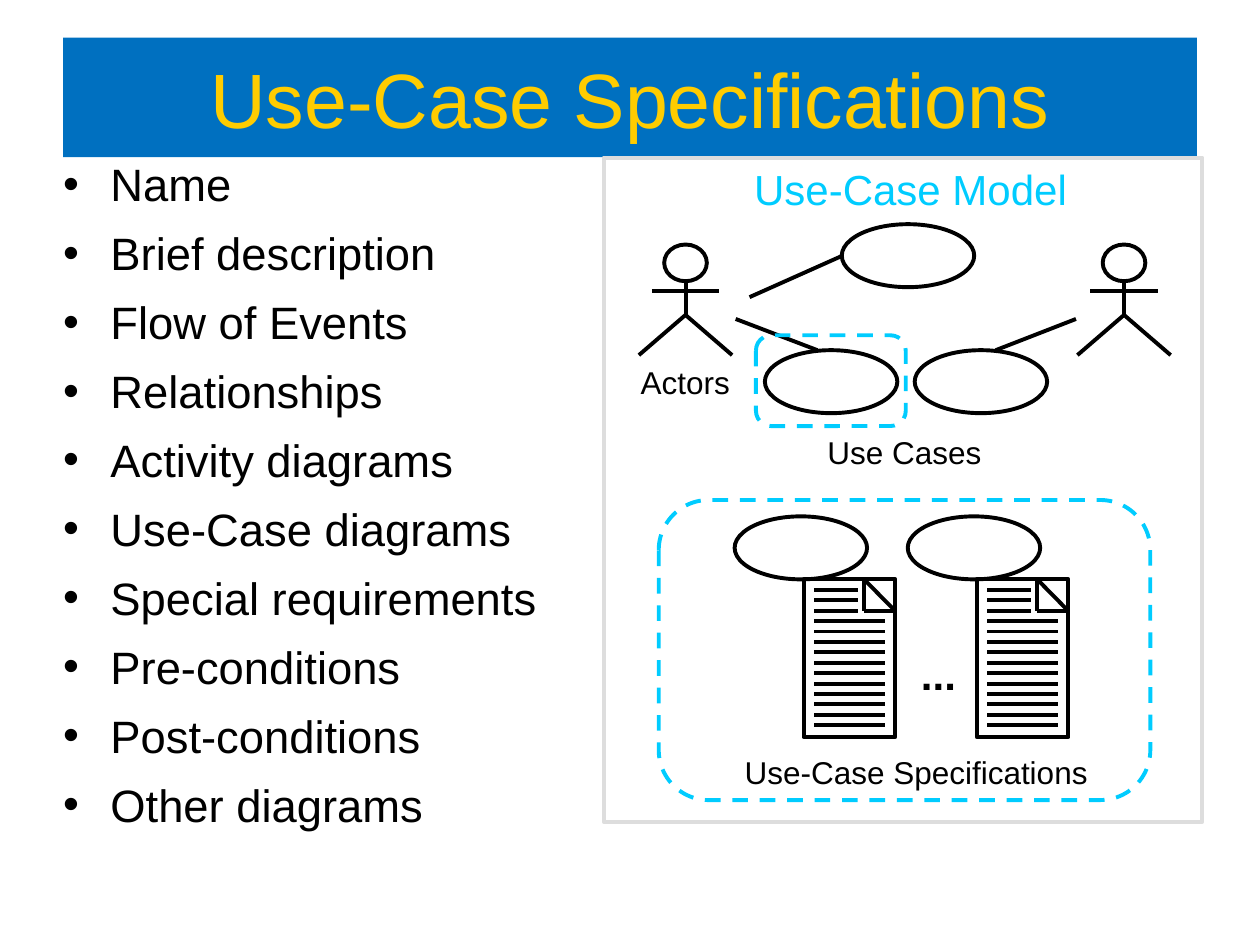
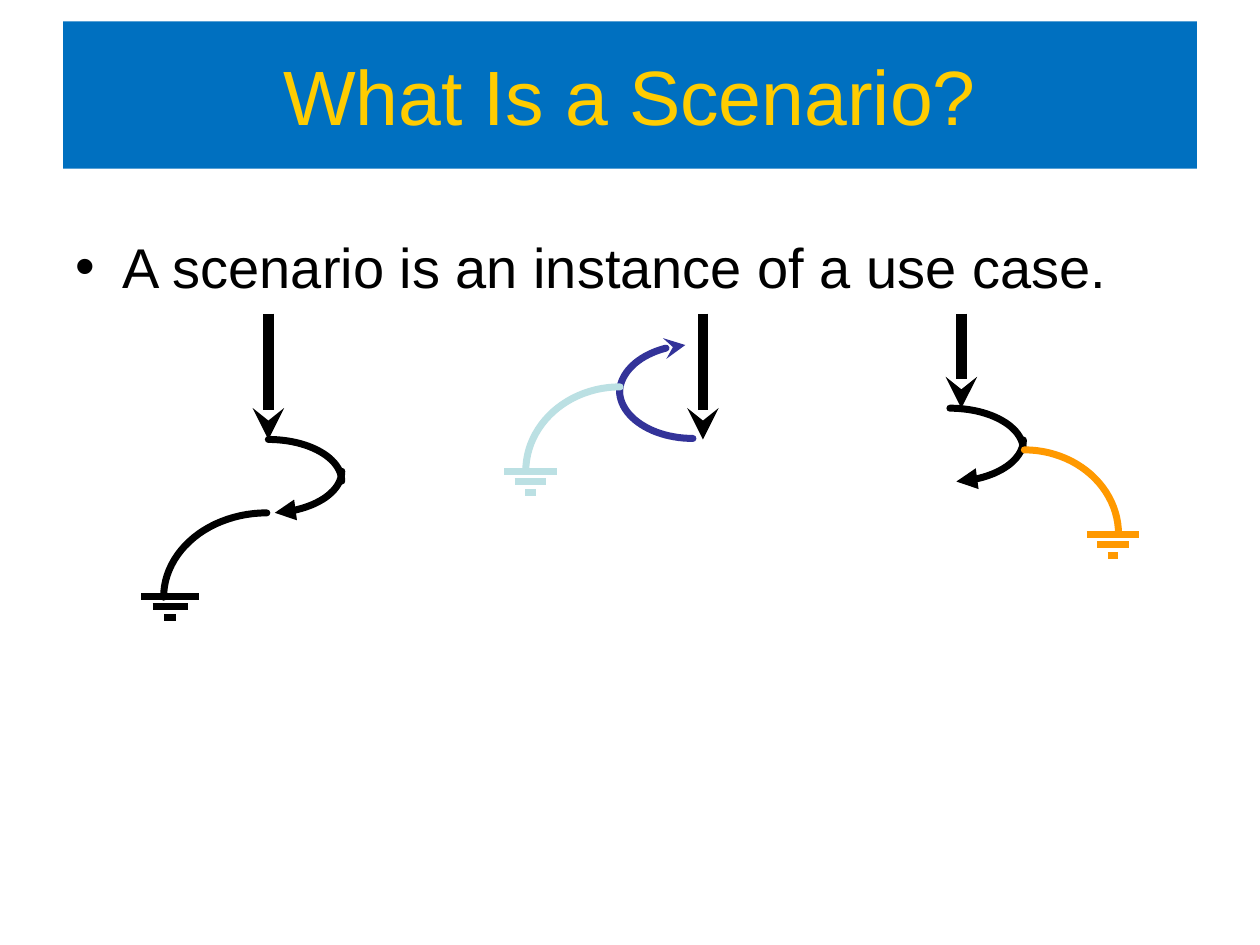
from math import cos, radians, sin

from lxml import etree
from pptx import Presentation
from pptx.dml.color import RGBColor
from pptx.enum.dml import MSO_LINE
from pptx.enum.shapes import MSO_CONNECTOR, MSO_SHAPE
from pptx.enum.text import MSO_ANCHOR, MSO_AUTO_SIZE, PP_ALIGN
from pptx.oxml.ns import qn
from pptx.util import Cm, Pt

BLACK = RGBColor(0x00, 0x00, 0x00)
BAND_BLUE = RGBColor(0x00, 0x70, 0xC0)
GOLD = RGBColor(0xFF, 0xCC, 0x00)
CYAN = RGBColor(0x00, 0xCC, 0xFF)
PALE_GREY = RGBColor(0xDD, 0xDD, 0xDD)
INDIGO = RGBColor(0x33, 0x33, 0x99)
PALE_TEAL = RGBColor(0xBB, 0xE0, 0xE3)
ORANGE = RGBColor(0xFF, 0x99, 0x00)

FONT = "Arial"
THIN, MEDIUM, THICK = Pt(2.25), Pt(4), Pt(6)
ARC_STEPS = 24

SPECIFICATION_PARTS = [
    "Name", "Brief description", "Flow of Events", "Relationships",
    "Activity diagrams", "Use-Case diagrams", "Special requirements",
    "Pre-conditions", "Post-conditions", "Other diagrams",
]


def set_attributes(target, **values):
    for name, value in values.items():
        setattr(target, name, value)


def place(shape, left, top, width, height):
    set_attributes(shape, left=Cm(left), top=Cm(top),
                   width=Cm(width), height=Cm(height))


def format_font(paragraph, size, color, bold=False):
    set_attributes(paragraph.font, name=FONT, size=Pt(size), bold=bold)
    paragraph.font.color.rgb = color


def add_band_slide(presentation, title, title_box, items, body_box, size, gap):
    """Add a slide with a title on a blue band and a bulleted list."""
    slide = presentation.slides.add_slide(presentation.slide_layouts[1])
    band, body = slide.placeholders
    place(band, *title_box)
    band.fill.solid()
    band.fill.fore_color.rgb = BAND_BLUE
    band.text_frame.text = title
    set_attributes(band.text_frame, vertical_anchor=MSO_ANCHOR.MIDDLE,
                   auto_size=MSO_AUTO_SIZE.NONE)
    heading = band.text_frame.paragraphs[0]
    heading.alignment = PP_ALIGN.CENTER
    format_font(heading, 44, GOLD)

    place(body, *body_box)
    body.text_frame.text = "\n".join(items)
    set_attributes(body.text_frame, auto_size=MSO_AUTO_SIZE.NONE,
                   margin_top=Cm(0.23))
    for index, paragraph in enumerate(body.text_frame.paragraphs):
        paragraph.space_before = Pt(gap if index else 0)
        format_font(paragraph, size, BLACK)
    return slide


def add_label(shapes, text, box, size, color=BLACK, bold=False):
    label = shapes.add_textbox(*map(Cm, box))
    set_attributes(label.text_frame, word_wrap=True, text=text,
                   margin_left=0, margin_right=0)
    paragraph = label.text_frame.paragraphs[0]
    paragraph.alignment = PP_ALIGN.CENTER
    format_font(paragraph, size, color, bold)


def format_line(shape, color, width, arrow=None):
    shape.line.color.rgb = color
    shape.line.width = width
    if arrow:
        outline = shape.line._get_or_add_ln()
        etree.SubElement(outline, qn("a:tailEnd"), type=arrow)


def add_outline(shapes, kind, box, color=BLACK, dashed=False):
    shape = shapes.add_shape(kind, *map(Cm, box))
    shape.shadow.inherit = False
    shape.fill.background()
    format_line(shape, color, THIN)
    if dashed:
        shape.line.dash_style = MSO_LINE.DASH


def add_line(shapes, start, end, color=BLACK, width=THIN, arrow=None):
    line = shapes.add_connector(MSO_CONNECTOR.STRAIGHT,
                                *map(Cm, (*start, *end)))
    format_line(line, color, width, arrow)
    etree.SubElement(line._element.spPr, qn("a:effectLst"))


def add_path(shapes, points, color=BLACK, width=THIN, arrow=None):
    first, *rest = [(Cm(x), Cm(y)) for x, y in points]
    builder = shapes.build_freeform(*first)
    builder.add_line_segments(rest, close=False)
    path_shape = builder.convert_to_shape()
    path_shape.shadow.inherit = False
    path_shape.fill.background()
    format_line(path_shape, color, width, arrow)
    return path_shape


def add_arc(shapes, center, radii, start, end, color=BLACK, arrow=None):
    """Draw part of an ellipse; degrees run clockwise from the right."""
    angles = [radians(start + (end - start) * step / ARC_STEPS)
              for step in range(ARC_STEPS + 1)]
    points = [(center[0] + radii[0] * cos(angle),
               center[1] + radii[1] * sin(angle)) for angle in angles]
    arc = add_path(shapes, points, color, MEDIUM, arrow)
    arc.line._get_or_add_ln().set("cap", "rnd")


def add_oval(shapes, left, top):
    add_outline(shapes, MSO_SHAPE.OVAL, (left, top, 2.67, 1.27))


def add_actor(slide, x):
    """Draw a stick figure centred on x."""
    shapes = slide.shapes.add_group_shape().shapes
    add_outline(shapes, MSO_SHAPE.OVAL, (x - 0.43, 4.93, 0.86, 0.74))
    add_line(shapes, (x, 5.69), (x, 6.35))
    add_line(shapes, (x - 0.68, 5.87), (x + 0.68, 5.87))
    add_path(shapes, [(x - 0.94, 7.16), (x, 6.35), (x + 0.94, 7.16)])


def add_specification(slide, left):
    """Draw a use case with its written page below it."""
    shapes = slide.shapes.add_group_shape().shapes
    add_oval(shapes, left, 10.41)
    page, top = left + 1.39, 11.68
    right, fold, fold_bottom = page + 1.85, page + 1.22, top + 0.64
    add_outline(shapes, MSO_SHAPE.RECTANGLE, (page, top, 1.85, 3.18))
    add_line(shapes, (fold, top), (right, fold_bottom))
    add_line(shapes, (fold, top), (fold, fold_bottom))
    add_line(shapes, (right, fold_bottom), (fold, fold_bottom))
    for row in range(14):
        y = top + 0.21 * (row + 1)
        length = 0.89 if row < 3 else 1.43
        add_line(shapes, (page + 0.21, y), (page + 0.21 + length, y))


def add_hook(shapes, x, y):
    """Draw a curve that leaves (x, y) to the right and points back left."""
    radii = (1.48, 0.84)
    add_arc(shapes, (x, y + 0.84), radii, 270, 360)
    add_arc(shapes, (x, y + 0.64), radii, 0, 85, arrow="triangle")


def add_ground(shapes, x, y, width, color):
    for step, share in enumerate((1, 0.6, 0.2)):
        half, level = width * share / 2, y + 0.21 * step
        add_line(shapes, (x - half, level), (x + half, level), color, MEDIUM)


def add_down_arrow(shapes, x, bottom):
    add_line(shapes, (x, 6.32), (x, bottom), width=THICK, arrow="stealth")


def build_specifications(presentation):
    slide = add_band_slide(
        presentation, "Use-Case Specifications", (1.27, 0.76, 22.86, 2.41),
        SPECIFICATION_PARTS, (1.02, 2.92, 10.64, 14.02), 25.9, 8.3)
    shapes = slide.shapes
    add_outline(shapes, MSO_SHAPE.RECTANGLE,
                (12.17, 3.18, 12.07, 13.39), PALE_GREY)
    for left in (14.81, 18.3):
        add_specification(slide, left)
    for x in (13.82, 22.66):
        add_actor(slide, x)
    for left, top in ((16.97, 4.52), (15.42, 7.06), (18.44, 7.06)):
        add_oval(shapes, left, top)
    for start, end in (((15.11, 5.99), (16.97, 5.16)),
                       ((14.83, 6.43), (16.48, 7.06)),
                       ((21.69, 6.43), (20.07, 7.06))):
        add_line(shapes, start, end)
    for box in ((13.28, 10.08, 9.91, 6.05), (15.24, 6.76, 3.02, 1.83)):
        add_outline(shapes, MSO_SHAPE.ROUNDED_RECTANGLE, box, CYAN, True)
    add_label(shapes, "Use-Case Model", (14.61, 3.18, 7.49, 1.27), 24, CYAN)
    add_label(shapes, "Actors", (12.52, 7.19, 2.59, 1.02), 18)
    add_label(shapes, "Use Cases", (16.28, 8.61, 3.91, 1.02), 18)
    add_label(shapes, "...", (18.31, 12.95, 1.22, 1.27), 24, bold=True)
    add_label(shapes, "Use-Case Specifications",
              (14.76, 15.06, 7.42, 1.02), 18)


def build_scenario(presentation):
    slide = add_band_slide(
        presentation, "What Is a Scenario?", (1.27, 0.43, 22.86, 2.97),
        ["A scenario is an instance of a use case."],
        (1.27, 4.45, 22.86, 12.57), 32, 8)
    black_flow, blue_flow, orange_flow = (
        slide.shapes.add_group_shape().shapes for _ in range(3))

    add_down_arrow(black_flow, 5.41, 8.86)
    add_hook(black_flow, 5.41, 8.86)
    add_arc(black_flow, (5.38, 12.04), (2.08, 1.7), 180, 270)
    add_ground(black_flow, 3.43, 12.02, 1.17, BLACK)

    add_down_arrow(blue_flow, 14.17, 8.86)
    add_arc(blue_flow, (13.97, 7.87), (1.48, 0.97), 90, 180, INDIGO)
    add_arc(blue_flow, (13.97, 7.92), (1.48, 0.97), 180, 264, INDIGO,
            "stealth")
    add_arc(blue_flow, (12.5, 9.5), (1.9, 1.7), 180, 270, PALE_TEAL)
    add_ground(blue_flow, 10.69, 9.5, 1.06, PALE_TEAL)

    add_down_arrow(orange_flow, 19.38, 8.23)
    add_hook(orange_flow, 19.15, 8.23)
    add_arc(orange_flow, (20.65, 10.77), (1.9, 1.7), 270, 360, ORANGE)
    add_ground(orange_flow, 22.44, 10.77, 1.06, ORANGE)


def main():
    presentation = Presentation()
    set_attributes(presentation, slide_width=Cm(25.4), slide_height=Cm(19.05))
    build_specifications(presentation)
    build_scenario(presentation)
    presentation.save("out.pptx")


if __name__ == "__main__":
    main()
